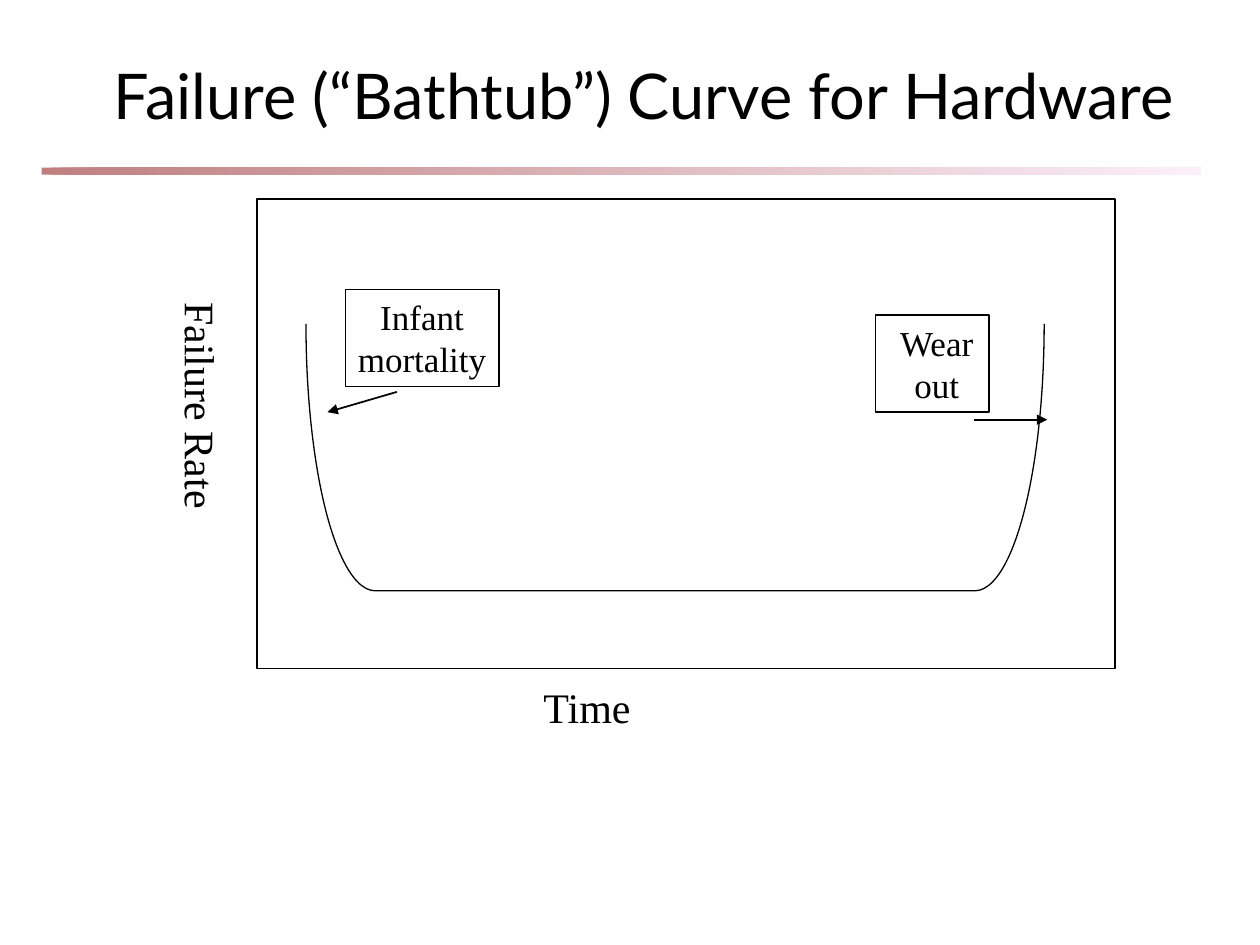
from pptx import Presentation
from pptx.dml.color import RGBColor
from pptx.enum.shapes import MSO_CONNECTOR, MSO_SHAPE
from pptx.enum.text import MSO_ANCHOR, MSO_AUTO_SIZE, PP_ALIGN
from pptx.oxml.ns import qn
from pptx.util import Cm, Pt
from lxml.etree import SubElement

BLACK = RGBColor(0, 0, 0)
MAROON = RGBColor(0x80, 0, 0)
PINK = RGBColor(0xFA, 0xE2, 0xF6)
SERIF = "Times New Roman"


def add_run(para, text, size, face):
    para.alignment = PP_ALIGN.CENTER
    run = para.add_run()
    run.text = text
    run.font.size = Pt(size)
    run.font.name = face
    run.font.color.rgb = BLACK


def add_lines(frame, lines, size):
    for i, line in enumerate(lines):
        para = frame.add_paragraph() if i else frame.paragraphs[0]
        add_run(para, line, size, SERIF)


def add_shape(slide, kind, left, top, width, height):
    """Add an unfilled shape with a thin black outline."""
    shape = slide.shapes.add_shape(kind, Cm(left), Cm(top), Cm(width), Cm(height))
    shape.shadow.inherit = False
    shape.fill.background()
    shape.line.color.rgb = BLACK
    shape.line.width = Pt(0.75)
    return shape


def add_note(slide, left, top, width, height, lines, wrap=False, inset=0.25):
    box = add_shape(slide, MSO_SHAPE.RECTANGLE, left, top, width, height)
    frame = box.text_frame
    frame.word_wrap = wrap
    frame.vertical_anchor = MSO_ANCHOR.TOP
    frame.margin_left = Cm(inset)
    add_lines(frame, lines, 20)


def add_label(slide, left, top, width, height, text, turn=0):
    box = slide.shapes.add_textbox(Cm(left), Cm(top), Cm(width), Cm(height))
    box.rotation = turn
    box.text_frame.word_wrap = False
    add_lines(box.text_frame, [text], 24)


def add_arrow(slide, x1, y1, x2, y2):
    arrow = slide.shapes.add_connector(
        MSO_CONNECTOR.STRAIGHT, Cm(x1), Cm(y1), Cm(x2), Cm(y2))
    arrow.line.color.rgb = BLACK
    arrow.line.width = Pt(1)
    SubElement(arrow.line._get_or_add_ln(), qn("a:tailEnd"), type="triangle")
    SubElement(arrow._element.spPr, qn("a:effectLst"))


def add_rule(slide, left, top, width, height):
    """Add the half-transparent gradient bar under the title."""
    bar = add_shape(slide, MSO_SHAPE.RECTANGLE, left, top, width, height)
    bar.line.fill.background()
    bar.fill.gradient()
    bar.fill.gradient_angle = 0
    for stop, color, place in zip(bar.fill.gradient_stops, (MAROON, PINK), (0, 1)):
        stop.color.rgb = color
        stop.position = place
    for color in bar._element.spPr.iter(qn("a:srgbClr")):
        SubElement(color, qn("a:alpha"), val="50000")


def add_title(slide, left, top, width, height, text):
    title = slide.shapes.title
    title.left, title.top = Cm(left), Cm(top)
    title.width, title.height = Cm(width), Cm(height)
    frame = title.text_frame
    frame.auto_size = MSO_AUTO_SIZE.NONE
    frame.vertical_anchor = MSO_ANCHOR.BOTTOM
    add_run(frame.paragraphs[0], text, 36, "Lato")


def add_plot(slide, left, top, width, height):
    """Add the framed bathtub curve with its notes and axis labels."""
    add_shape(slide, MSO_SHAPE.RECTANGLE, left, top, width, height)
    add_label(slide, left + 5.51, top + height + 0.13, 2.29, 1.27, "Time")
    add_label(slide, left - 3.45, top + 3.53, 4.67, 1.27, "Failure Rate", 90)

    curve = add_shape(slide, MSO_SHAPE.LEFT_BRACKET,
                      left + 5.74, top - 2.23, 5.38, 14.88)
    curve.rotation = 270
    curve.adjustments[0] = 0.26

    add_note(slide, left + 1.78, top + 1.83, 3.1, 1.96, ["Infant", "mortality"])
    add_note(slide, left + 12.47, top + 2.34, 2.29, 1.96, ["Wear", "out"],
             wrap=True, inset=0.43)
    add_arrow(slide, left + 2.82, top + 3.89, left + 1.42, top + 4.3)
    add_arrow(slide, left + 14.45, top + 4.45, left + 15.93, top + 4.45)


def main():
    deck = Presentation()
    deck.slide_width, deck.slide_height = Cm(25.4), Cm(19.05)
    slide = deck.slides.add_slide(deck.slide_layouts[5])
    add_rule(slide, 0.84, 3.38, 23.37, 0.14)
    add_title(slide, 1.02, 1.12, 23.93, 1.68,
              "Failure (“Bathtub”) Curve for Hardware")
    add_plot(slide, 5.18, 4.01, 17.3, 9.47)
    deck.save("out.pptx")


if __name__ == "__main__":
    main()
